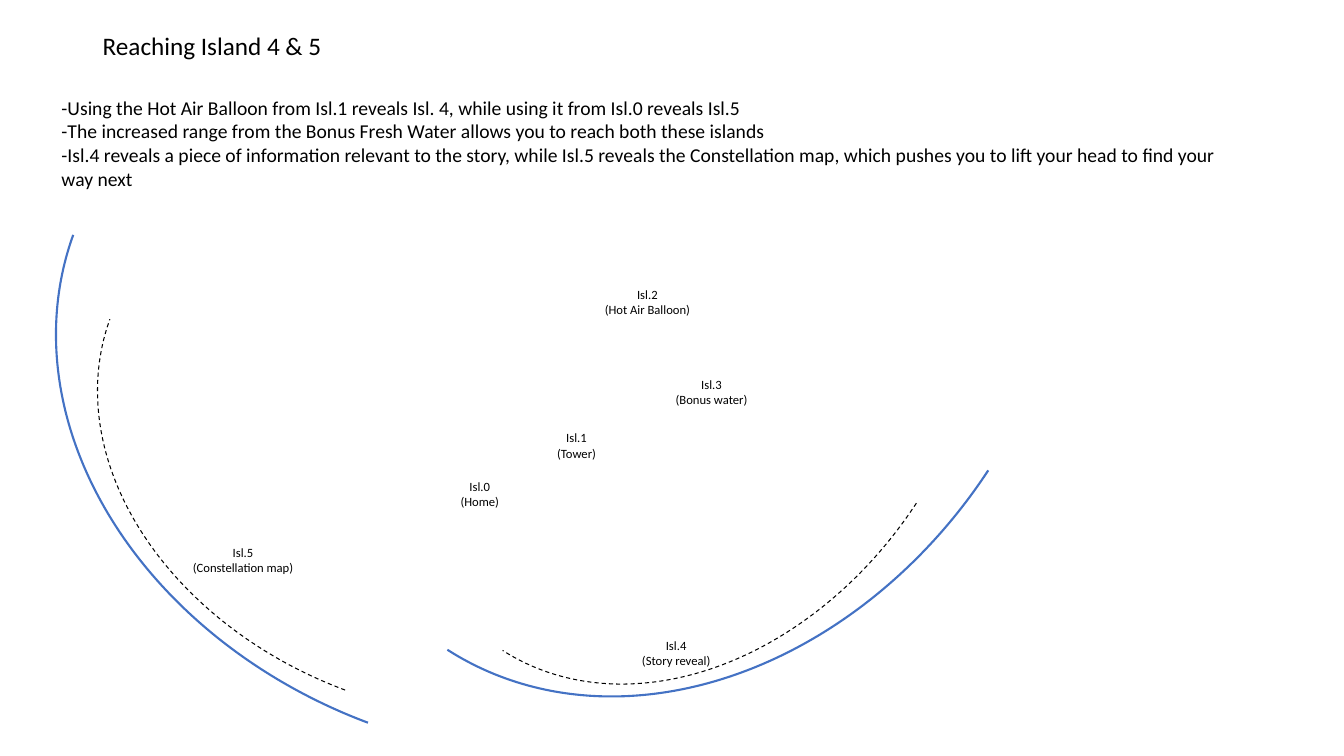
import pptx
import pptx.util
import pptx.dml.color
import pptx.enum.dml
import pptx.enum.shapes
import pptx.enum.text

Cm, Pt = pptx.util.Cm, pptx.util.Pt
BLACK = pptx.dml.color.RGBColor(0x00, 0x00, 0x00)
BLUE = pptx.dml.color.RGBColor(0x44, 0x72, 0xC4)
LEFT = pptx.enum.text.PP_ALIGN.LEFT
MID = pptx.enum.text.PP_ALIGN.CENTER

deck = pptx.Presentation()
deck.slide_width, deck.slide_height = Cm(33.87), Cm(19.05)
slide = deck.slides.add_slide(deck.slide_layouts[6])


def add_text(x, y, w, h, lines, size, align=LEFT, wrap=True):
    box = slide.shapes.add_textbox(Cm(x), Cm(y), Cm(w), Cm(h))
    frame = box.text_frame
    frame.word_wrap = wrap
    frame.auto_size = pptx.enum.text.MSO_AUTO_SIZE.SHAPE_TO_FIT_TEXT
    for i, line in enumerate(lines):
        para = frame.add_paragraph() if i else frame.paragraphs[0]
        para.text = line
        para.alignment = align
        para.font.name = "Calibri"
        para.font.size = Pt(size)
        para.font.color.rgb = BLACK


# Title and notes on the route
add_text(2.34, 0.64, 6.1, 1.02, ["Reaching Island 4 & 5"], 18, wrap=False)
add_text(1.3, 2.29, 29.64, 2.64, [
    "-Using the Hot Air Balloon from Isl.1 reveals Isl. 4, while using it from Isl.0 reveals Isl.5",
    "-The increased range from the Bonus Fresh Water allows you to reach both these islands",
    "-Isl.4 reveals a piece of information relevant to the story, while Isl.5 reveals the "
    "Constellation map, which pushes you to lift your head to find your way next",
], 14)

# Islands: left, top, width, role
isles = [
    (10.87, 11.94, 2.44, "Home"),
    (13.31, 10.72, 2.44, "Tower"),
    (14.22, 7.11, 4.19, "Hot Air Balloon"),
    (16.71, 9.37, 2.44, "Bonus water"),
    (15.82, 15.95, 2.44, "Story reveal"),
    (4.37, 13.61, 3.51, "Constellation map"),
]
for num, (x, y, w, role) in enumerate(isles):
    add_text(x, y, w, 1.02, [f"Isl.{num}\v({role})"], 9, MID)

# Range arcs: a dashed inner and a solid outer one on each side
inner = (17.73, 13.54, BLACK, 0.75, pptx.enum.dml.MSO_LINE.DASH)
outer = (22.63, 18.06, BLUE, 1.5, None)
arcs = [
    (8.59, 2.16, 122.7, inner),
    (6.07, -2.18, 122.7, outer),
    (2.24, 4.29, 199.9, inner),
    (1.17, 0.74, 199.9, outer),
]
for x, y, turn, (w, h, color, width, dash) in arcs:
    arc = slide.shapes.add_shape(
        pptx.enum.shapes.MSO_SHAPE.ARC, Cm(x), Cm(y), Cm(w), Cm(h))
    arc.adjustments[0] = 162.56
    arc.rotation = turn
    arc.shadow.inherit = False
    arc.fill.background()
    arc.line.color.rgb = color
    arc.line.width = Pt(width)
    if dash:
        arc.line.dash_style = dash

deck.save("out.pptx")
